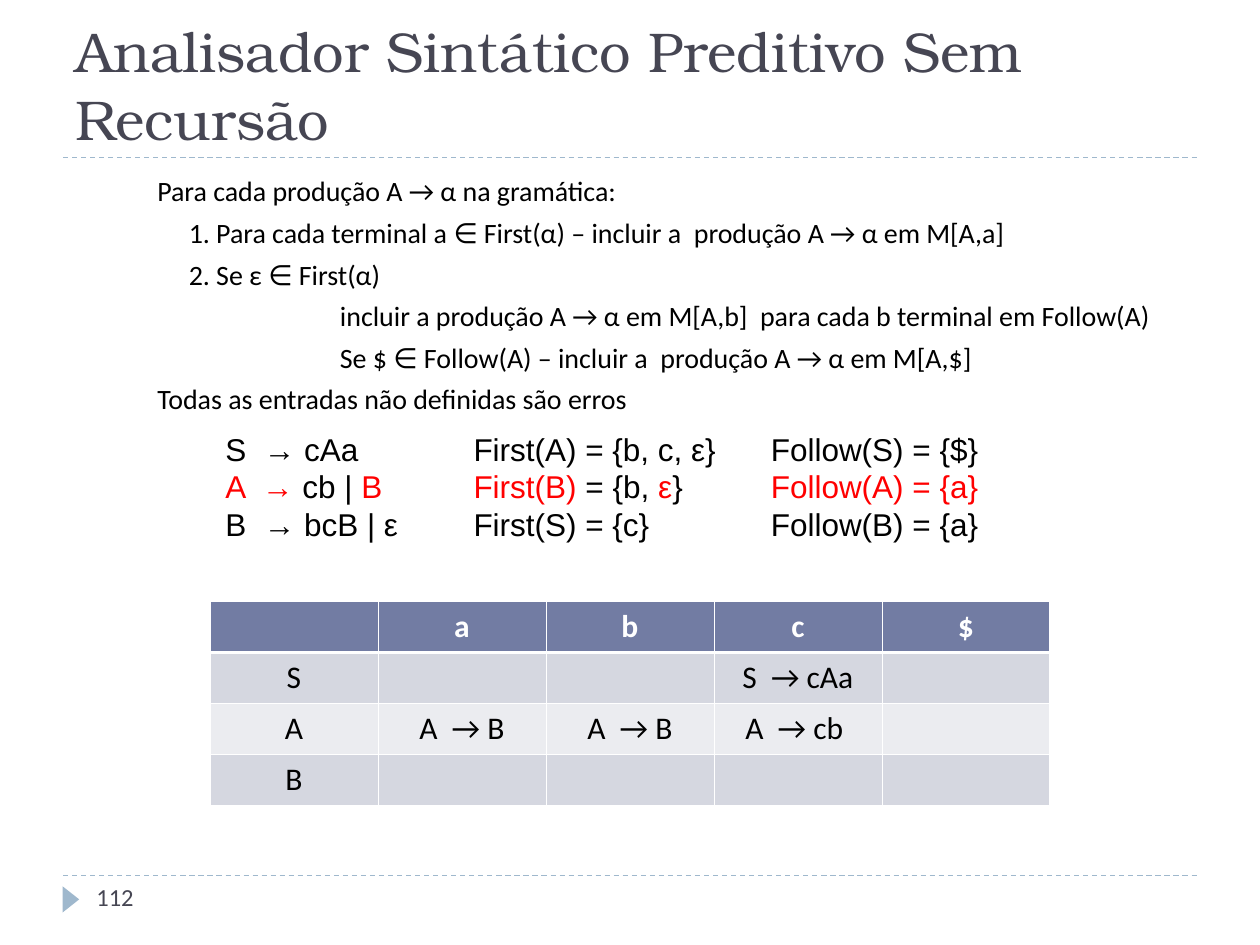
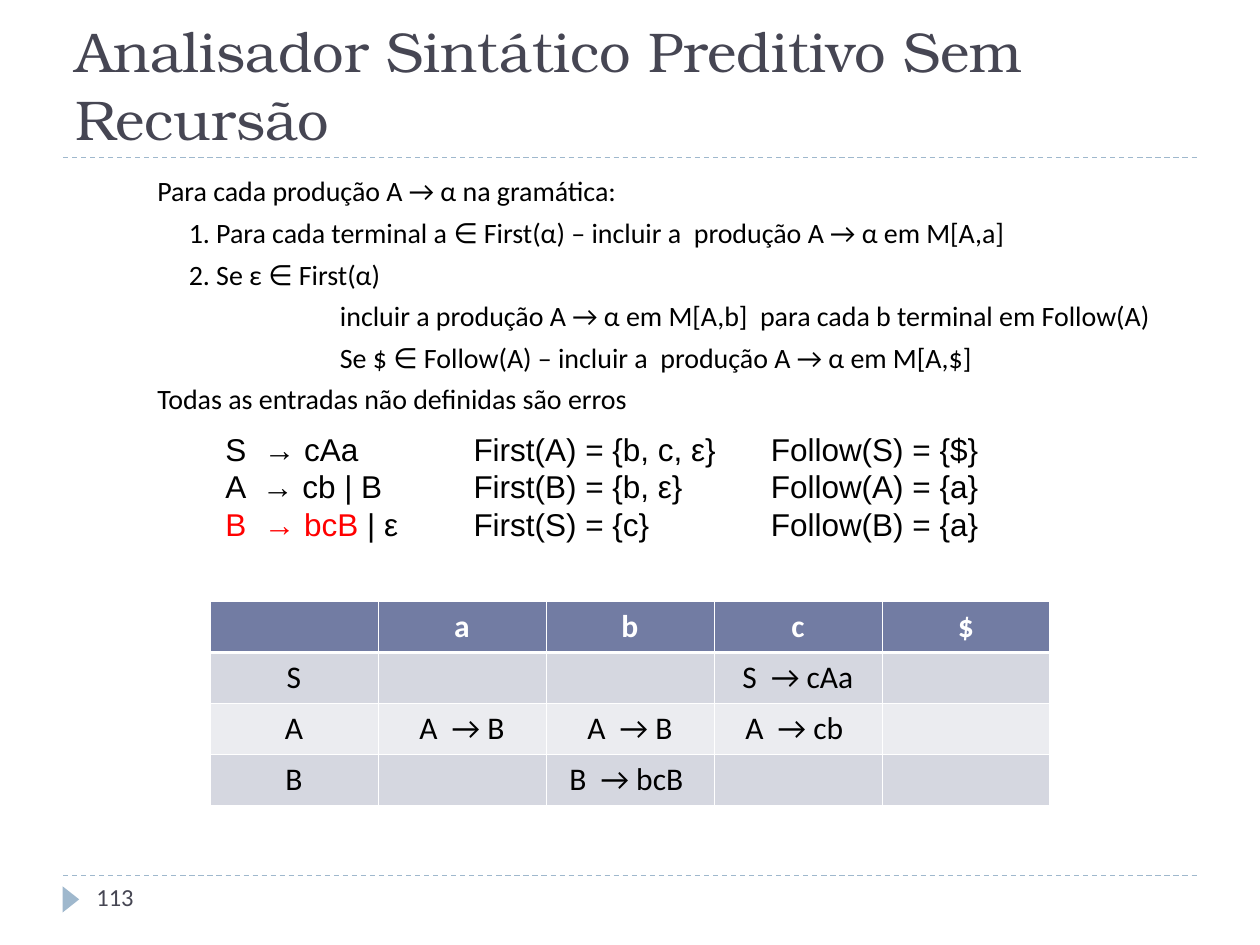
from pptx import Presentation
from pptx.dml.color import RGBColor
from pptx.enum.dml import MSO_LINE
from pptx.enum.shapes import MSO_CONNECTOR, MSO_SHAPE
from pptx.enum.text import MSO_ANCHOR, PP_ALIGN
from pptx.oxml.ns import qn
from pptx.util import Pt
from lxml.etree import SubElement

# Shared style
INK, RED, WHITE = "000000", "FF0000", "FFFFFF"
SLATE, MIST = "464653", "9FB8CD"
HEAD, BANDS = "727CA3", ("D5D7E0", "EBECF0")
SERIF, SANS, PLAIN = "TeX Gyre Bonum", "Calibri", "Arial"
LEFT, RIGHT = 36, 684
TITLE = "Analisador Sintático Preditivo Sem Recursão"

# Rules of the algorithm, each with its indent
RULES = [
    (46.8, "Para cada produção A → α na gramática:"),
    (64.8, "1. Para cada terminal a ∈ First(α) – incluir a  produção A → α em M[A,a]"),
    (64.8, "2. Se ε ∈ First(α)"),
    (151.2, "incluir a produção A → α em M[A,b]  para cada b terminal em Follow(A)"),
    (151.2, "Se $ ∈ Follow(A) – incluir a  produção A → α em M[A,$]"),
    (46.8, "Todas as entradas não definidas são erros"),
]
# Left and width of the grammar, First and Follow columns
COLUMNS = [(121.7, 118.8), (263.5, 164.2), (433.4, 164.2)]


def color(code):
    return RGBColor.from_string(code)


def write(frame, text, size=18, font=SANS, ink=INK, bold=False,
          align=PP_ALIGN.LEFT, indents=(), gap=0):
    """Fill a frame, one paragraph a line; text between asterisks is red."""
    for i, line in enumerate(text.split("\n")):
        para = frame.add_paragraph() if i else frame.paragraphs[0]
        para.alignment = align
        if i and gap:
            para.space_before = Pt(gap)
        if indents:
            para._p.get_or_add_pPr().set("marL", str(Pt(indents[i])))
        for j, part in enumerate(line.split("*")):
            if part:
                run = para.add_run()
                run.text = part
                run.font.size, run.font.name, run.font.bold = Pt(size), font, bold
                run.font.color.rgb = color(RED if j % 2 else ink)


def edge(cell, side, width):
    line = SubElement(cell._tc.get_or_add_tcPr(), qn(f"a:ln{side}"), w=str(Pt(width)))
    fill = SubElement(line, qn("a:solidFill"))
    SubElement(fill, qn("a:srgbClr"), val=WHITE)


class Deck:
    def __init__(self):
        self.show = Presentation()
        self.show.slide_width, self.show.slide_height = Pt(720), Pt(540)
        self.slide = None

    def text(self, left, top, width, height, text, anchor=MSO_ANCHOR.TOP, **style):
        box = self.slide.shapes.add_textbox(Pt(left), Pt(top), Pt(width), Pt(height))
        box.text_frame.word_wrap = True
        box.text_frame.vertical_anchor = anchor
        write(box.text_frame, text, **style)

    def rule(self, top):
        line = self.slide.shapes.add_connector(
            MSO_CONNECTOR.STRAIGHT, Pt(LEFT), Pt(top), Pt(RIGHT), Pt(top))
        line.line.color.rgb = color(MIST)
        line.line.width = Pt(0.75)
        line.line.dash_style = MSO_LINE.DASH
        SubElement(line._element.spPr, qn("a:effectLst"))

    def marker(self):
        mark = self.slide.shapes.add_shape(
            MSO_SHAPE.ISOSCELES_TRIANGLE, Pt(33), Pt(509.2), Pt(15), Pt(9.5))
        mark.rotation = 90
        mark.shadow.inherit = False
        mark.fill.solid()
        mark.fill.fore_color.rgb = color(MIST)
        mark.line.fill.background()

    def page(self, number):
        """Start a slide with its title, rules and footer."""
        self.slide = self.show.slides.add_slide(self.show.slide_layouts[6])
        for top in (500.4, 90):
            self.rule(top)
        self.marker()
        self.text(LEFT, 12, RIGHT - LEFT, 78, TITLE, anchor=MSO_ANCHOR.BOTTOM,
                  size=32, font=SERIF, ink=SLATE)
        self.text(48, 500.4, 156, 28.8, str(number), size=14, ink=SLATE)

    def table(self, left, top, wide, high, rows):
        count = len(rows[0])
        grid = self.slide.shapes.add_table(
            len(rows), count, Pt(left), Pt(top), Pt(wide * count), Pt(high * len(rows))).table
        for col in grid.columns:
            col.width = Pt(wide)
        for r, row in enumerate(rows):
            grid.rows[r].height = Pt(high)
            for c, text in enumerate(row):
                cell = grid.cell(r, c)
                for side in "LRTB":
                    thick = (r, side) in ((0, "B"), (1, "T"))
                    edge(cell, side, 1.5 if thick else 0.45)
                cell.fill.solid()
                cell.fill.fore_color.rgb = color(BANDS[(r - 1) % 2] if r else HEAD)
                write(cell.text_frame, text, ink=INK if r else WHITE,
                      bold=r == 0, align=PP_ALIGN.CENTER)

    def step(self, number, sets, last):
        """One step: the rules, the grammar with its sets, and the table."""
        self.page(number)
        indents, lines = zip(*RULES)
        self.text(LEFT, 95.8, RIGHT - LEFT, 388.8, "\n".join(lines),
                  size=16, indents=indents, gap=4.6)
        for (left, width), text in zip(COLUMNS, sets):
            self.text(left, 242, width, 72, text, font=PLAIN)
        self.table(120, 343.6, 96, 29.2, [
            ["", "a", "b", "c", "$"],
            ["S", "", "", "S  → cAa", ""],
            ["A", "A  → B", "A  → B", "A  → cb ", ""],
            ["B", "", last, "", ""],
        ])


def main():
    deck = Deck()
    # Entries for A
    deck.step(112, [
        "S  → cAa\n*A  →* cb | *B*\nB  → bcB | ε",
        "First(A) = {b, c, ε}\n*First(B)* = {b, *ε*}\nFirst(S) = {c}",
        "Follow(S) = {$}\n*Follow(A) = {a}*\nFollow(B) = {a}",
    ], "")
    # First entry for B
    deck.step(113, [
        "S  → cAa\nA  → cb | B\n*B  → bcB *| ε",
        "First(A) = {b, c, ε}\nFirst(B) = {b, ε}\nFirst(S) = {c}",
        "Follow(S) = {$}\nFollow(A) = {a}\nFollow(B) = {a}",
    ], "B  → bcB ")
    deck.show.save("out.pptx")


if __name__ == "__main__":
    main()
